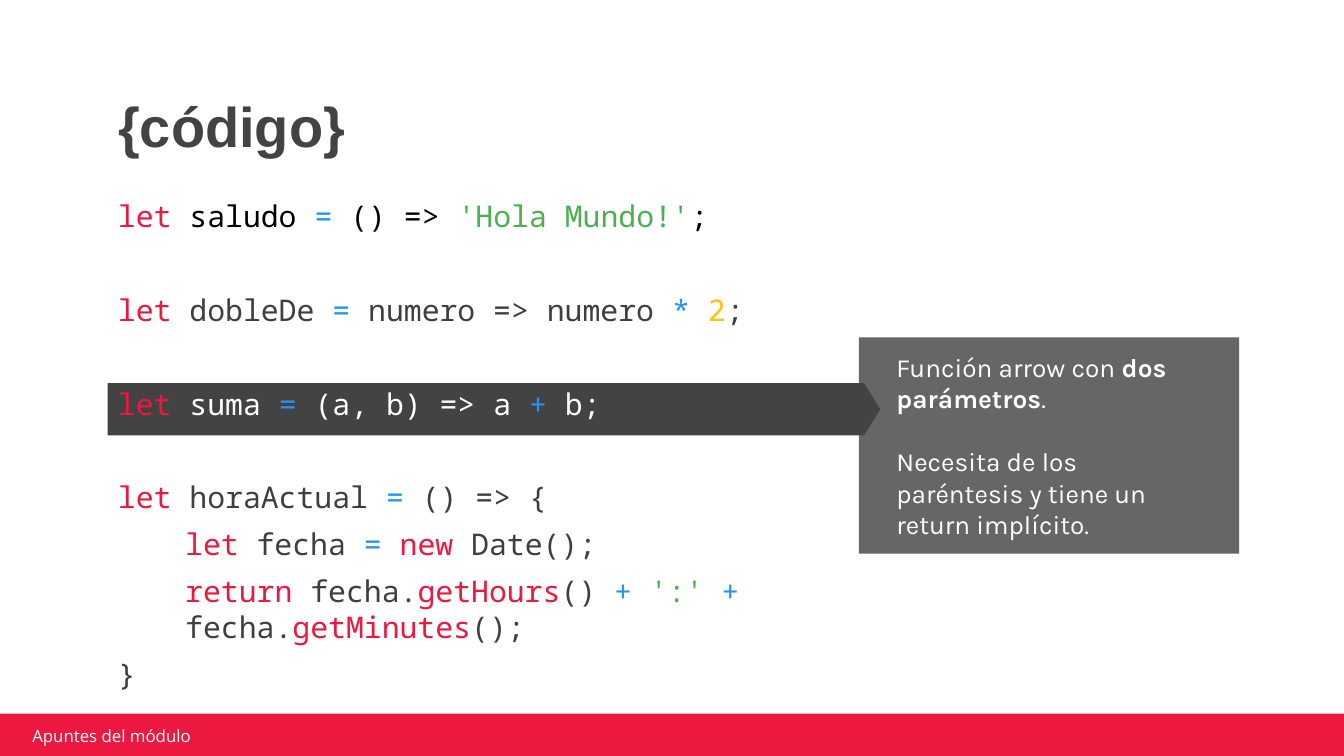
import pptx
import pptx.util
import pptx.dml.color
import pptx.enum.shapes
import pptx.enum.text
from pptx.util import Inches, Pt

COLORS = {
    "key": "EC183F", "op": "2196F3", "string": "4CAF50", "number": "FFC107",
    "code": "3F3F3F", "black": "000000", "white": "FFFFFF",
    "dark": "434343", "callout": "666666", "brand": "EC183F",
}
SHAPES = pptx.enum.shapes.MSO_SHAPE
ANCHOR = pptx.enum.text.MSO_ANCHOR
ALIGN = pptx.enum.text.PP_ALIGN

# Each line of code: indent in inches, space before in points, (text, colour) pieces
LINE_GAP, BLOCK_GAP = 6, 31
CODE = [
    (0, 0, [("let", "key"), (" saludo ", "black"), ("=", "op"), (" () => ", "black"),
            ("'Hola Mundo!'", "string"), (";", "black")]),
    (0, BLOCK_GAP, [("let", "key"), (" dobleDe ", "code"), ("=", "op"),
                    (" numero => numero ", "code"), ("* ", "op"), ("2", "number"),
                    (";", "code")]),
    (0, BLOCK_GAP, [("let", "key"), (" suma ", "white"), ("=", "op"),
                    (" (a, b) => a ", "white"), ("+", "op"), (" b;", "white")]),
    (0, BLOCK_GAP, [("let", "key"), (" horaActual ", "code"), ("=", "op"),
                    (" () => {", "code")]),
    (0.5, LINE_GAP, [("let", "key"), (" fecha ", "code"), ("= ", "op"), ("new", "key"),
                     (" Date();", "code")]),
    (0.5, LINE_GAP, [("return", "key"), (" fecha.", "code"), ("getHours", "key"),
                     ("() ", "code"), ("+ ", "op"), ("':' ", "string"), ("+", "op"),
                     (" fecha.", "code"), ("getMinutes", "key"), ("();", "code")]),
    (0, LINE_GAP, [("}", "code")]),
]


def rgb(name):
    return pptx.dml.color.RGBColor.from_string(COLORS[name])


def add_run(p, text, font, size, color, bold=False):
    r = p.add_run()
    r.text = text
    r.font.name = font
    r.font.size = Pt(size)
    r.font.bold = bold
    r.font.color.rgb = rgb(color)


def set_frame(tf, anchor, inset_x, inset_y):
    tf.word_wrap = True
    tf.auto_size = pptx.enum.text.MSO_AUTO_SIZE.NONE
    tf.vertical_anchor = anchor
    tf.margin_left = tf.margin_right = Inches(inset_x)
    tf.margin_top = tf.margin_bottom = Inches(inset_y)


def next_paragraph(tf, first, indent=0, before=0):
    p = tf.paragraphs[0] if first else tf.add_paragraph()
    p.alignment = ALIGN.LEFT
    p.space_before = Pt(before)
    if indent:
        pPr = p._p.get_or_add_pPr()
        pPr.set("marL", str(Inches(indent)))
        pPr.set("indent", "0")
    return p


def add_block(s, kind, color, x, y, w, h):
    sp = s.shapes.add_shape(kind, Inches(x), Inches(y), Inches(w), Inches(h))
    sp.shadow.inherit = False
    sp.fill.solid()
    sp.fill.fore_color.rgb = rgb(color)
    sp.line.fill.background()
    return sp


def add_title(s, x, y, w, h):
    sp = s.shapes.title
    sp.left, sp.top, sp.width, sp.height = (Inches(v) for v in (x, y, w, h))
    set_frame(sp.text_frame, ANCHOR.BOTTOM, 0.1, 0.1)
    p = next_paragraph(sp.text_frame, True)
    p.line_spacing = 0.9
    add_run(p, "{código}", "Arial", 30, "dark", bold=True)


def add_callout(s, x, y, w, h):
    tf = add_block(s, SHAPES.RECTANGLE, "callout", x, y, w, h).text_frame
    set_frame(tf, ANCHOR.MIDDLE, 0.28, 0)
    paragraphs = [
        [("Función arrow con ", False), ("dos parámetros", True), (".", False)],
        [("Necesita de los paréntesis y tiene un return implícito.", False)],
    ]
    for i, pieces in enumerate(paragraphs):
        p = next_paragraph(tf, i == 0, before=17 * i)
        for text, bold in pieces:
            add_run(p, text, "Karla", 14, "white", bold=bold)


def add_code(s, x, y, w, h):
    # Arrow behind the highlighted line, reaching into the callout
    arrow = add_block(s, SHAPES.RIGHT_ARROW, "dark", x + 0.02, y + 1.4, w + 0.19, 0.39)
    arrow.adjustments[0] = 1
    arrow.adjustments[1] = 0.31

    tf = s.shapes.add_textbox(Inches(x), Inches(y), Inches(w), Inches(h)).text_frame
    set_frame(tf, ANCHOR.MIDDLE, 0.1, 0.1)
    for i, (indent, before, pieces) in enumerate(CODE):
        p = next_paragraph(tf, i == 0, indent, before)
        for text, color in pieces:
            add_run(p, text, "Noto Sans Mono", 16, color)


def add_footer(s, x, y, w, h):
    add_block(s, SHAPES.RECTANGLE, "brand", x, y, w, h)
    tf = s.shapes.add_textbox(Inches(x + 0.21), Inches(y + 0.09),
                              Inches(2.39), Inches(0.15)).text_frame
    set_frame(tf, ANCHOR.MIDDLE, 0.05, 0.02)
    add_run(next_paragraph(tf, True), "Apuntes del módulo", "Open Sans", 9, "white")


def main():
    prs = pptx.Presentation()
    prs.slide_width = Inches(10)
    prs.slide_height = prs.slide_width * 9 // 16
    s = prs.slides.add_slide(prs.slide_layouts[5])
    add_title(s, 0.78, 0.6, 8.43, 0.69)
    add_callout(s, 6.39, 2.51, 2.83, 1.61)
    add_code(s, 0.78, 1.45, 5.56, 3.72)
    add_footer(s, -0.02, 5.31, 10.03, 0.36)
    prs.save("out.pptx")


if __name__ == "__main__":
    main()
